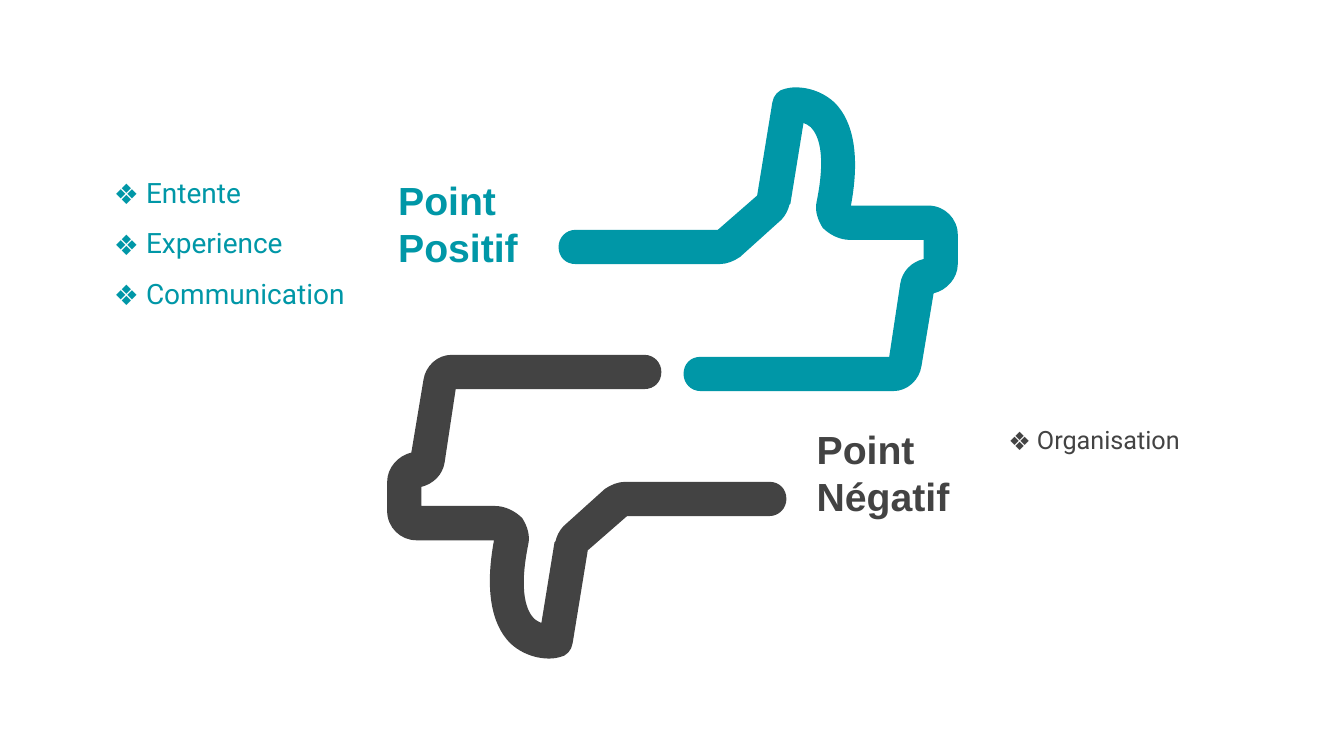
"""Build a slide of positive and negative points around two thumb outlines."""
from lxml.etree import SubElement
from pptx import Presentation
from pptx.dml.color import RGBColor
from pptx.enum.text import MSO_ANCHOR as Anchor, MSO_AUTO_SIZE as AutoSize, PP_ALIGN as Align
from pptx.oxml.ns import qn
from pptx.util import Inches, Pt

COLORS = {"positive": "0097A7", "negative": "434343"}
BULLET_FONT = "Noto Sans Symbols"
MIRROR_X, MIRROR_Y = 13.34, 7.4
THUMB_LEFT, THUMB_TOP, THUMB_WIDTH, THUMB_HEIGHT = 5.54, 0.87, 3.96, 3.01
THUMB_START = (8.86, 3.88)
THUMB_SEGMENTS = [
    (6.95, 3.88),
    (6.85, 3.88, 6.78, 3.8, 6.78, 3.71),
    (6.78, 3.61, 6.85, 3.54, 6.95, 3.54),
    (8.82, 3.54),
    (8.93, 2.81),
    (8.95, 2.69, 9.04, 2.6, 9.16, 2.57),
    (9.16, 2.38),
    (8.43, 2.38),
    (8.33, 2.38, 8.23, 2.33, 8.16, 2.26),
    (8.11, 2.18, 8.08, 2.09, 8.1, 2),
    (8.2, 1.51, 8.11, 1.33, 8.04, 1.26),
    (8.02, 1.24, 7.99, 1.23, 7.97, 1.22),
    (7.84, 2.02),
    (7.84, 2.02, 7.83, 2.02, 7.83, 2.03),
    (7.82, 2.08, 7.79, 2.14, 7.75, 2.18),
    (7.34, 2.55),
    (7.28, 2.59, 7.21, 2.62, 7.14, 2.62),
    (5.71, 2.62),
    (5.61, 2.62, 5.54, 2.55, 5.54, 2.45),
    (5.54, 2.36, 5.61, 2.28, 5.71, 2.28),
    (7.12, 2.28),
    (7.51, 1.94),
    (7.66, 1.02),
    (7.67, 0.95, 7.72, 0.89, 7.79, 0.88),
    (7.89, 0.85, 8.11, 0.86, 8.28, 1.02),
    (8.47, 1.21, 8.53, 1.56, 8.44, 2.04),
    (9.21, 2.04),
    (9.37, 2.04, 9.5, 2.17, 9.5, 2.33),
    (9.5, 2.62),
    (9.5, 2.76, 9.39, 2.88, 9.26, 2.91),
    (9.14, 3.63),
    (9.12, 3.77, 9, 3.88, 8.86, 3.88),
]
THUMBS = [
    ("positive", False, THUMB_LEFT, THUMB_TOP),
    ("negative", True, MIRROR_X - THUMB_LEFT - THUMB_WIDTH, MIRROR_Y - THUMB_TOP - THUMB_HEIGHT),
]
HEADINGS = [
    ("Point Négatif", "negative", 8.1, 4.16, 2.28),
    ("Point Positif", "positive", 3.95, 1.69, 1.47),
]
LISTS = [
    (["Organisation"], "negative", 18, 10, 4.16, 2.28, 0.4),
    (["Entente", "Experience", "Communication"], "positive", 20, 1.13, 1.69, 2.5, 1.45),
]


def add_text_frame(left, top, width, height):
    box = page.shapes.add_textbox(Inches(left), Inches(top), Inches(width), Inches(height))
    frame = box.text_frame
    frame.word_wrap = True
    frame.auto_size = AutoSize.SHAPE_TO_FIT_TEXT
    frame.margin_left = 0
    return frame


def add_span(para, text, font, size, tone, bold=False):
    span = para.add_run()
    span.text = text
    span.font.name = font
    span.font.size = Pt(size)
    span.font.bold = bold
    span.font.color.rgb = RGBColor.from_string(COLORS[tone])


deck = Presentation()
deck.slide_width, deck.slide_height = Inches(13.33), Inches(7.5)
page = deck.slides.add_slide(deck.slide_layouts[6])

for tone, turned, left, top in THUMBS:
    right, bottom = left + THUMB_WIDTH, top + THUMB_HEIGHT
    builder = page.shapes.build_freeform(Inches(left), Inches(top))
    corners = [(right, top), (right, bottom), (left, bottom)]
    builder.add_line_segments([(Inches(x), Inches(y)) for x, y in corners])
    thumb = builder.convert_to_shape()
    thumb.shadow.inherit = False
    thumb.fill.solid()
    thumb.fill.fore_color.rgb = RGBColor.from_string(COLORS[tone])
    thumb.line.fill.background()

    outline = next(thumb._element.iter(qn("a:path")))
    for command in list(outline):
        outline.remove(command)
    for index, segment in enumerate([THUMB_START] + THUMB_SEGMENTS):
        kind = "moveTo" if index == 0 else "lnTo" if len(segment) == 2 else "cubicBezTo"
        command = SubElement(outline, qn("a:" + kind))
        for x, y in zip(segment[::2], segment[1::2]):
            if turned:
                x, y = MIRROR_X - x, MIRROR_Y - y
            point = SubElement(command, qn("a:pt"))
            point.set("x", str(Inches(x - left)))
            point.set("y", str(Inches(y - top)))
    SubElement(outline, qn("a:close"))

for title, tone, left, top, width in HEADINGS:
    frame = add_text_frame(left, top, width, 1.04)
    frame.vertical_anchor = Anchor.BOTTOM
    add_span(frame.paragraphs[0], title, "Arial", 28, tone, bold=True)

for items, tone, size, *place in LISTS:
    frame = add_text_frame(*place)
    for index, item in enumerate(items):
        para = frame.add_paragraph() if index else frame.paragraphs[0]
        para.alignment = Align.JUSTIFY
        para.space_before = Pt(12)
        properties = para._p.get_or_add_pPr()
        properties.set("marL", str(Inches(0.19)))
        properties.set("indent", str(Inches(-0.19)))
        SubElement(properties, qn("a:buFont")).set("typeface", BULLET_FONT)
        SubElement(properties, qn("a:buChar")).set("char", "❖")
        add_span(para, " " + item, "Roboto", size, tone)

deck.save("out.pptx")
